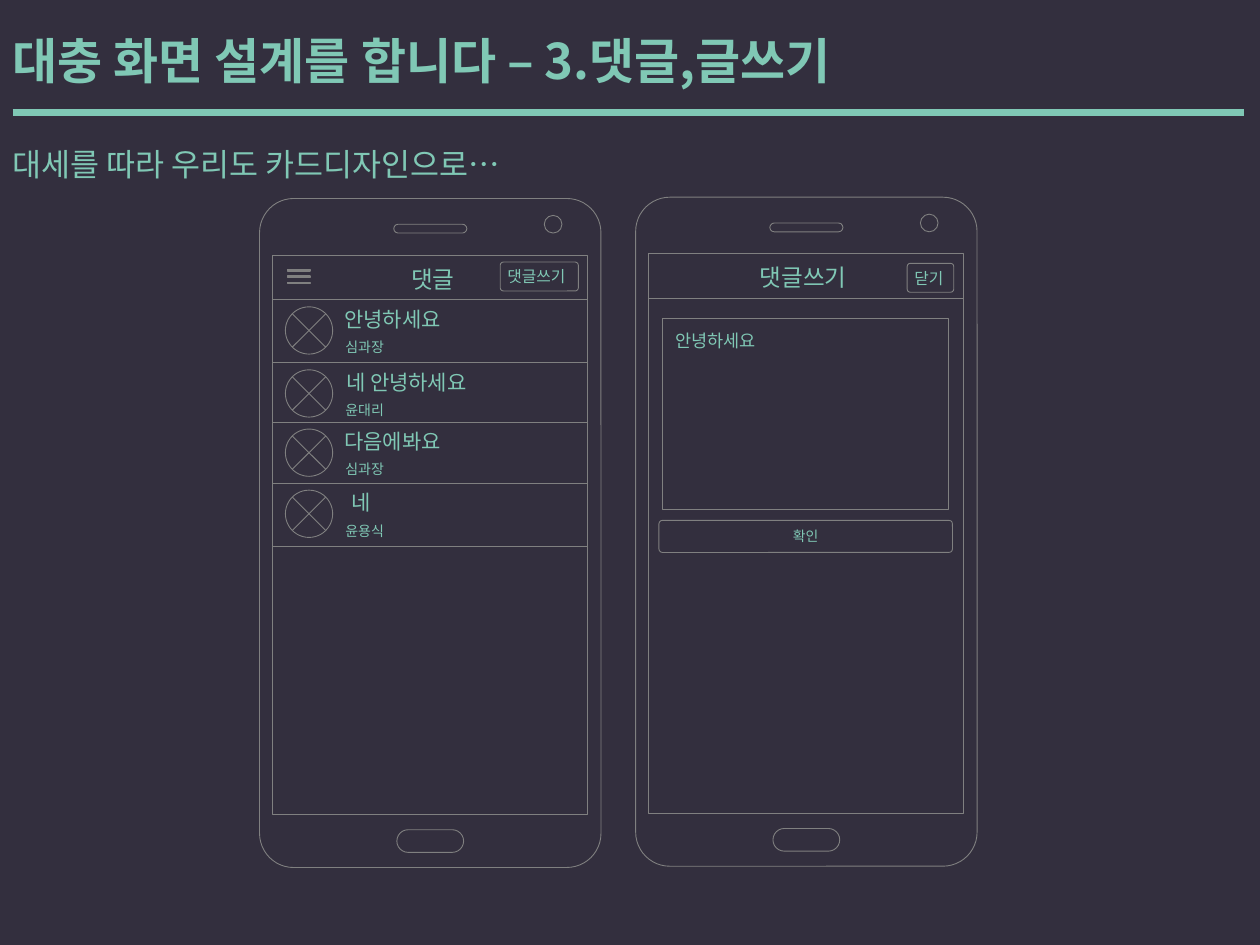
"""Build a slide with two phone wireframes: a comment list and a comment form."""
from dataclasses import dataclass
from math import sqrt

from lxml.etree import SubElement
from pptx import Presentation
from pptx.dml.color import RGBColor
from pptx.enum.shapes import MSO_CONNECTOR, MSO_SHAPE as Preset
from pptx.enum.text import MSO_ANCHOR as Anchor, MSO_AUTO_SIZE as AutoSize, PP_ALIGN as Align
from pptx.oxml.ns import qn
from pptx.util import Inches, Pt

BACKGROUND = RGBColor(0x33, 0x2F, 0x3E)
OUTLINE = RGBColor(0x80, 0x80, 0x80)
MINT = RGBColor(0x80, 0xC8, 0xB5)
KOREAN = "Noto Sans CJK KR"
COLUMNS = 1000
SLIDE_WIDTH, SLIDE_HEIGHT = Inches(10), Inches(7.5)
CELL = SLIDE_WIDTH // COLUMNS


@dataclass(frozen=True)
class Box:
    """A rectangle in grid columns and rows."""
    left: float
    top: float
    width: float
    height: float

    def emu(self) -> tuple[int, ...]:
        """Return the rectangle in slide units."""
        return tuple(round(n * CELL) for n in (self.left, self.top, self.width, self.height))

    def inside(self, left: float, top: float, width: float, height: float) -> "Box":
        """Return a rectangle placed relative to this one."""
        return Box(self.left + left, self.top + top, width, height)


@dataclass(frozen=True)
class Style:
    """How a piece of text looks."""
    size: float
    font: str = KOREAN
    align: Align = Align.CENTER
    bold: bool = False


@dataclass(frozen=True)
class Comment:
    """One row of the comment list."""
    top: float
    message: str
    author: str
    left: float = 258
    width: float = 107


COMMENTS = (
    Comment(238, "안녕하세요", "심과장"),
    Comment(288, "네 안녕하세요", "윤대리", width=129),
    Comment(335, "다음에봐요", "심과장"),
    Comment(383.5, "네", "윤용식", left=269, width=27),
)
LIST_END = 434
HEADING = Style(13.5, "Calibri")
BUTTON = Style(9, "Cabin", Align.LEFT)


def write(shape, text: str, style: Style, anchor=Anchor.TOP, wrap: bool = True) -> None:
    """Put one formatted run into a shape."""
    frame = shape.text_frame
    frame.word_wrap = wrap
    frame.auto_size = AutoSize.NONE
    frame.vertical_anchor = anchor
    paragraph = frame.paragraphs[0]
    paragraph.alignment = style.align
    run = paragraph.add_run()
    run.text = text
    run.font.size = Pt(style.size)
    run.font.bold = style.bold
    run.font.color.rgb = MINT
    run.font.name = style.font
    SubElement(run.font._element, qn("a:ea")).set("typeface", KOREAN)


def set_margins(shape, side: float, vertical: float) -> None:
    """Set the text margins of a shape in inches."""
    frame = shape.text_frame
    frame.margin_left = frame.margin_right = Inches(side)
    frame.margin_top = frame.margin_bottom = Inches(vertical)


def add_outline(slide, preset, box: Box, radius: float | None = None, weight: float = 0.5):
    """Draw an unfilled preset shape."""
    shape = slide.shapes.add_shape(preset, *box.emu())
    return finish_outline(shape, radius, weight)


def finish_outline(shape, radius: float | None = None, weight: float = 0.5):
    """Give a shape a thin line without fill or shadow."""
    shape.shadow.inherit = False
    shape.fill.background()
    shape.line.color.rgb = OUTLINE
    shape.line.width = Pt(weight)
    if radius is not None:
        shape.adjustments[0] = radius
    return shape


def add_line(slide, start: tuple, end: tuple, color=OUTLINE, weight: float = 0.5) -> None:
    """Draw a straight line between two grid points."""
    points = [round(n * CELL) for n in (*start, *end)]
    line = slide.shapes.add_connector(MSO_CONNECTOR.STRAIGHT, *points)
    line.line.color.rgb = color
    line.line.width = Pt(weight)
    SubElement(line._element.spPr, qn("a:effectLst"))


def add_label(slide, box: Box, text: str, style: Style) -> None:
    """Add a text box."""
    write(slide.shapes.add_textbox(*box.emu()), text, style)


def add_button(slide, box: Box, text: str, style: Style, margins: tuple, wrap: bool) -> None:
    """Draw a rounded button with its caption."""
    button = add_outline(slide, Preset.ROUNDED_RECTANGLE, box, 0.11)
    set_margins(button, *margins)
    write(button, text, style, Anchor.MIDDLE, wrap)


def add_phone(slide, left: float, top: float) -> Box:
    """Draw a phone and return its screen."""
    body = Box(left, top, 271, 531)
    screen = body.inside(10.5, 45, 250, 444)
    add_outline(slide, Preset.ROUNDED_RECTANGLE, body, 0.1)
    add_outline(slide, Preset.ROUNDED_RECTANGLE, body.inside(109, 501, 53, 18), 0.5)
    add_outline(slide, Preset.OVAL, body.inside(226, 13.5, 14, 14))
    add_outline(slide, Preset.ROUNDED_RECTANGLE, body.inside(106.5, 20.5, 58, 7), 0.5)
    add_outline(slide, Preset.RECTANGLE, screen)
    return screen


def add_divider(slide, screen: Box, row: float) -> None:
    """Draw a line across a screen."""
    add_line(slide, (screen.left, row), (screen.left + screen.width, row))


def add_menu_icon(slide, left: int, top: int) -> None:
    """Draw three thin bars as one outline."""
    builder = slide.shapes.build_freeform(left, top, scale=CELL)
    for row in range(top, top + 15, 5):
        builder.move_to(left, row)
        builder.add_line_segments([(left, row + 1), (left + 18, row + 1), (left + 18, row)])
    finish_outline(builder.convert_to_shape(), weight=0.75)


def add_comment(slide, comment: Comment) -> None:
    """Draw an avatar with a message and its author."""
    avatar = Box(226.5, comment.top + 5.5, 37.5, 37.5)
    inset = avatar.width * (1 - 1 / sqrt(2)) / 2
    left, right = avatar.left + inset, avatar.left + avatar.width - inset
    top, bottom = avatar.top + inset, avatar.top + avatar.height - inset
    add_outline(slide, Preset.OVAL, avatar)
    add_line(slide, (left, top), (right, bottom))
    add_line(slide, (left, bottom), (right, top))
    add_label(slide, Box(comment.left, comment.top, comment.width, 30), comment.message, Style(12))
    add_label(slide, Box(262, comment.top + 26, 55, 24), comment.author, Style(8))


def fill_placeholder(shape, box: Box, text: str, style: Style) -> None:
    """Move a placeholder and write plain text into it."""
    shape.left, shape.top, shape.width, shape.height = box.emu()
    write(shape, text, style)
    paragraph = shape.text_frame.paragraphs[0]
    paragraph.space_before = Pt(0)
    properties = paragraph._p.get_or_add_pPr()
    properties.set("marL", "0")
    properties.set("indent", "0")
    SubElement(properties, qn("a:buNone"))


def main() -> None:
    """Build and save the slide."""
    presentation = Presentation()
    presentation.slide_width, presentation.slide_height = SLIDE_WIDTH, SLIDE_HEIGHT
    slide = presentation.slides.add_slide(presentation.slide_layouts[1])
    slide.background.fill.solid()
    slide.background.fill.fore_color.rgb = BACKGROUND
    title, subtitle = slide.placeholders
    fill_placeholder(title, Box(0, 19, COLUMNS, 57), "대충 화면 설계를 합니다 – 3.댓글,글쓰기",
                     Style(28, align=Align.LEFT, bold=True))
    fill_placeholder(subtitle, Box(0, 110, COLUMNS, 40), "대세를 따라 우리도 카드디자인으로…",
                     Style(18, align=Align.LEFT))
    add_line(slide, (10, 89), (987, 89), MINT, 4)

    screen = add_phone(slide, 206, 157.5)
    add_label(slide, Box(227, 205, 233, 33), "댓글", HEADING)
    add_menu_icon(slide, 228, 214)
    add_button(slide, Box(397, 208, 62, 23), "댓글쓰기", BUTTON, (0.05, 0.03), False)
    for row in (*(comment.top for comment in COMMENTS), LIST_END):
        add_divider(slide, screen, row)
    for comment in COMMENTS:
        add_comment(slide, comment)

    screen = add_phone(slide, 504.5, 156.5)
    add_divider(slide, screen, 237)
    add_label(slide, Box(521, 204, 233, 33), "댓글쓰기", HEADING)
    add_button(slide, Box(720, 209, 37, 23), "닫기", BUTTON, (0.05, 0.03), False)
    text_area = add_outline(slide, Preset.RECTANGLE, Box(526, 252.5, 227, 152), weight=0.25)
    set_margins(text_area, 0.1, 0.09)
    write(text_area, "안녕하세요", Style(10, "Calibri", Align.LEFT))
    add_button(slide, Box(523, 413, 233, 25.5), "확인", Style(7.9, "Cabin"), (0.07, 0.05), True)
    presentation.save("out.pptx")


if __name__ == "__main__":
    main()
